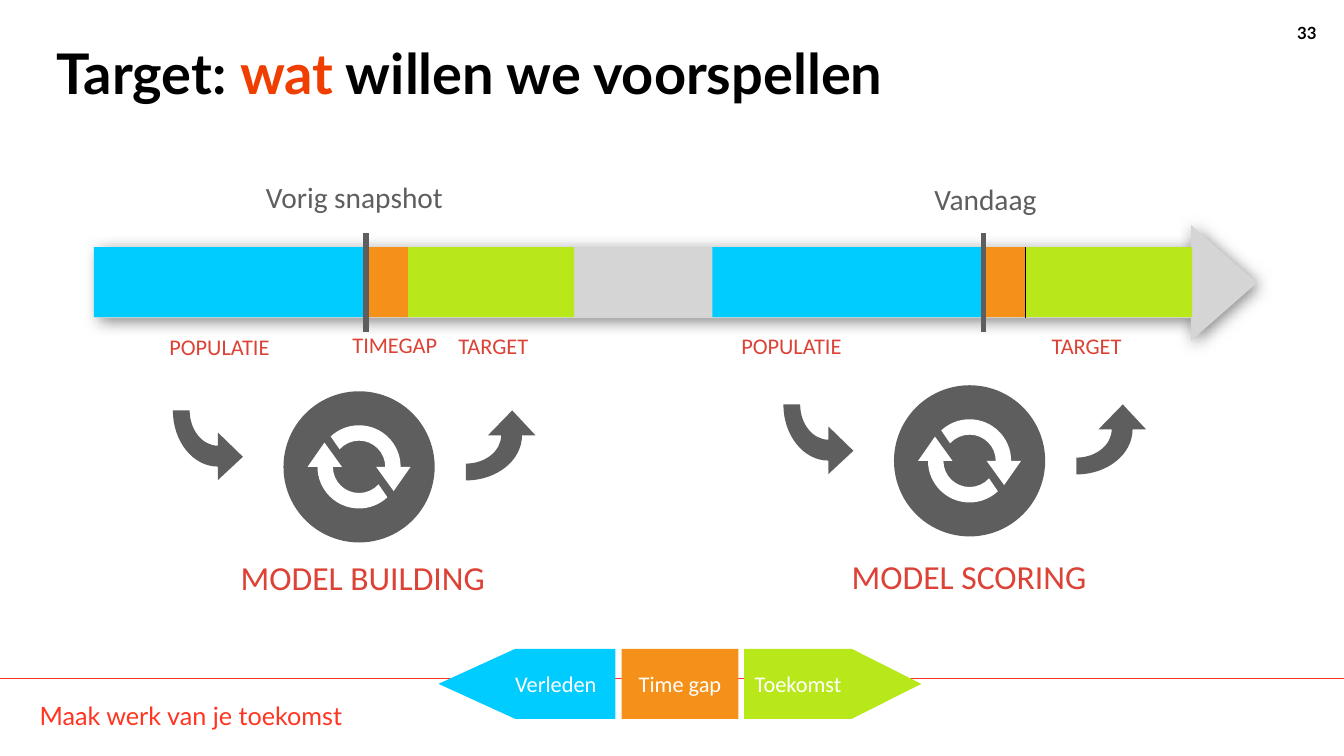
import math
from lxml import etree
from pptx import Presentation
from pptx import util as u
from pptx.dml.color import RGBColor
from pptx.enum import shapes, text
from pptx.oxml import ns

BLUE = RGBColor(0x00, 0xCC, 0xFF)
GREEN = RGBColor(0xB8, 0xE8, 0x1A)
ORANGE = RGBColor(0xF5, 0x91, 0x19)
GREY = RGBColor(0xD5, 0xD5, 0xD5)
DARK = RGBColor(0x5E, 0x5E, 0x5E)
RED = RGBColor(0xDC, 0x42, 0x35)
HOUSE_RED = RGBColor(0xFF, 0x35, 0x21)
ACCENT = RGBColor(0xEF, 0x3E, 0x00)
BLACK = RGBColor(0, 0, 0)
WHITE = RGBColor(255, 255, 255)

TITLE = [("Target: ", BLACK), ("wat", ACCENT), (" willen we voorspellen", BLACK)]
PERIODS = [(67, 195, BLUE), (288.8, 121.4, GREEN), (260.6, 30.8, ORANGE),
           (508.8, 195, BLUE), (730.2, 121.4, GREEN), (702, 30.8, ORANGE)]
BAND_TOP, BAND_HEIGHT = 176.5, 50
MARKERS = [(702.5, 236.9, 166.3, DARK, 4), (261.4, 236.9, 166.3, DARK, 4),
           (732.3, 226.8, 176.4, BLACK, 0.5)]
LABELS = [
    ("POPULATIE", 118.8, 235.6, 103, 24, 16, RED),
    ("TARGET", 325.2, 234.8, 121, 24, 16, RED),
    ("TIMEGAP", 249.5, 234.4, 121, 24, 16, RED),
    ("POPULATIE", 527.3, 234.8, 203.8, 24, 16, RED),
    ("TARGET", 749, 234.8, 99.4, 24, 16, RED),
    ("Vorig snapshot", 187.7, 125.8, 131.8, 29.5, 21, DARK),
    ("Vandaag", 665.3, 127.2, 77, 29.5, 21, DARK),
    ("MODEL BUILDING", 169.7, 395.7, 185.8, 33.1, 24, RED),
    ("MODEL SCORING", 606.2, 395.3, 172.8, 33.1, 24, RED),
]
LEGEND_TOP, LEGEND_HEIGHT = 463.5, 50
LEGEND = [("Verleden", 368, 71.6, BLUE, text.PP_ALIGN.LEFT),
          ("Time gap", 444, 83.5, ORANGE, text.PP_ALIGN.CENTER),
          ("Toekomst", 531.6, 77, GREEN, text.PP_ALIGN.CENTER)]
LEGEND_TIPS = [(368, 313.2, BLUE), (608.4, 658.1, GREEN)]
MODELS = [(256.5, 333.5), (692.6, 329.2)]
CIRCLE = 108

deck = Presentation()
deck.slide_width, deck.slide_height = u.Pt(960), u.Pt(540)
page = deck.slides.add_slide(deck.slide_layouts[5])


def apply(target, values):
    for name, value in values.items():
        setattr(target, name, value)


def place(x, y, width, height):
    return u.Pt(x), u.Pt(y), u.Pt(width), u.Pt(height)


def paint(shape, color):
    shape.shadow.inherit = False
    shape.fill.solid()
    shape.fill.fore_color.rgb = color
    shape.line.fill.background()
    return shape


def add_block(kind, x, y, width, height, color):
    return paint(page.shapes.add_shape(kind, *place(x, y, width, height)), color)


def add_span(para, words, font, size, color, bold=False):
    span = para.add_run()
    span.text = words
    apply(span.font, {"name": font, "size": u.Pt(size), "bold": bold})
    span.font.color.rgb = color


def set_frame(frame, side, top, anchor, wrap=True):
    apply(frame, {"margin_left": u.Pt(side), "margin_right": u.Pt(side),
                  "margin_top": u.Pt(top), "margin_bottom": u.Pt(top),
                  "vertical_anchor": anchor, "word_wrap": wrap,
                  "auto_size": text.MSO_AUTO_SIZE.NONE})


def add_text(words, x, y, width, height, font, size, color, side, top, anchor, wrap=True, bold=False):
    box = page.shapes.add_textbox(*place(x, y, width, height))
    set_frame(box.text_frame, side, top, anchor, wrap)
    para = box.text_frame.paragraphs[0]
    add_span(para, words, font, size, color, bold)
    return para


def add_line(x1, y1, x2, y2, color, width):
    line = page.shapes.add_connector(shapes.MSO_CONNECTOR.STRAIGHT,
                                     u.Pt(x1), u.Pt(y1), u.Pt(x2), u.Pt(y2))
    line.line.color.rgb = color
    line.line.width = u.Pt(width)
    etree.SubElement(line._element.spPr, ns.qn("a:effectLst"))


def add_outline(contours, color, x=0, y=0):
    moved = [[(u.Pt(x + px), u.Pt(y + py)) for px, py, _ in points] for points in contours]
    builder = page.shapes.build_freeform(*moved[0][0])
    for index, points in enumerate(moved):
        if index:
            builder.move_to(*points[0])
        builder.add_line_segments(points[1:], close=False)
        builder.add_line_segments([], close=True)
    shape = paint(builder.convert_to_shape(), color)
    bend([curved for points in contours for _, _, curved in points], shape)


def bend(flags, shape):
    steps = [step for step in shape._element.iter(ns.qn("a:moveTo"), ns.qn("a:lnTo"))]
    curved = [step for step, flag in zip(steps, flags) if flag]
    for first, second, third in zip(curved[::3], curved[1::3], curved[2::3]):
        curve = etree.Element(ns.qn("a:cubicBezTo"))
        first.addprevious(curve)
        for step in (first, second, third):
            curve.append(step[0])
            step.getparent().remove(step)


def corners(*points):
    return [(x, y, False) for x, y in points]


def arc(radius_x, radius_y, *degrees):
    angles = [math.radians(degree) for degree in degrees]
    points = corners((radius_x * math.cos(angles[0]), radius_y * math.sin(angles[0])))
    for start, end in zip(angles, angles[1:]):
        reach = 4 / 3 * math.tan((end - start) / 4)
        for angle, pull in ((start, reach), (end, -reach), (end, 0)):
            points.append((radius_x * (math.cos(angle) - pull * math.sin(angle)),
                           radius_y * (math.sin(angle) + pull * math.cos(angle)), True))
    return points


def add_model(x, y):
    add_block(shapes.MSO_SHAPE.OVAL, x - CIRCLE / 2, y - CIRCLE / 2, CIRCLE, CIRCLE, DARK)
    arrow_in = (arc(32.2, 40.1, 180, 90) + corners((0, 49.7), (17.8, 33.1), (0, 15.8))
                + arc(20.2, 25.2, 90, 180))
    arrow_out = [(py, -px, curved) for px, py, curved in arrow_in]
    add_outline([arrow_in], DARK, x - 100.8, y - 40.3)
    add_outline([arrow_out], DARK, x + 76.3, y - 22.5)
    half_cycle = (arc(29.7, 29.7, 0, -90, -133) + arc(18.7, 18.7, -138, -90, 0)
                  + corners((12.2, 0), (24.7, 17.3), (36.8, 0)))
    other_half = [(-px, -py, curved) for px, py, curved in half_cycle]
    add_outline([half_cycle, other_half], WHITE, x, y)


def build():
    add_text("Maak werk van je toekomst", 21.2, 496.8, 612, 28.8, "Lato", 18, HOUSE_RED,
             7.2, 3.6, text.MSO_ANCHOR.TOP)
    add_line(0, 484.6, 960, 484.6, HOUSE_RED, 0.5)
    number = add_text("33", 912.2, 13, 35.3, 21.6, "Lato", 12, BLACK,
                      7.2, 3.6, text.MSO_ANCHOR.TOP, bold=True)
    number.alignment = text.PP_ALIGN.RIGHT

    timeline = add_block(shapes.MSO_SHAPE.RIGHT_ARROW, 70.6, 160.6, 827.3, 82.8, GREY)
    timeline.adjustments[0], timeline.adjustments[1] = 0.61, 0.57
    effects = timeline._element.spPr.find(ns.qn("a:effectLst"))
    shadow = etree.SubElement(effects, ns.qn("a:outerShdw"), blurRad=str(u.Pt(11)),
                              dist=str(u.Pt(2)), dir="5400000", rotWithShape="0")
    shade = etree.SubElement(shadow, ns.qn("a:srgbClr"), val=str(BLACK))
    etree.SubElement(shade, ns.qn("a:alpha"), val="50000")

    for x, width, color in PERIODS:
        add_block(shapes.MSO_SHAPE.RECTANGLE, x, BAND_TOP, width, BAND_HEIGHT, color)
    for x, bottom, top, color, width in MARKERS:
        add_line(x, bottom, x, top, color, width)

    for words, x, width, color, alignment in LEGEND:
        block = add_block(shapes.MSO_SHAPE.RECTANGLE, x, LEGEND_TOP, width, LEGEND_HEIGHT, color)
        set_frame(block.text_frame, 0, 0, text.MSO_ANCHOR.MIDDLE)
        para = block.text_frame.paragraphs[0]
        para.alignment = alignment
        add_span(para, words, "Calibri", 16, WHITE)
    for base, tip, color in LEGEND_TIPS:
        add_outline([corners((tip, LEGEND_TOP + LEGEND_HEIGHT / 2), (base, LEGEND_TOP),
                             (base, LEGEND_TOP + LEGEND_HEIGHT))], color)

    title = page.shapes.title
    apply(title, dict(zip(("left", "top", "width", "height"), place(33.1, 29.5, 884.2, 104.4))))
    set_frame(title.text_frame, 7.2, 3.6, text.MSO_ANCHOR.TOP)
    heading = title.text_frame.paragraphs[0]
    apply(heading, {"alignment": text.PP_ALIGN.LEFT, "line_spacing": 0.9})
    for words, color in TITLE:
        add_span(heading, words, "Lato", 40, color, bold=True)

    for center in MODELS:
        add_model(*center)
    for words, x, y, width, height, size, color in LABELS:
        add_text(words, x, y, width, height, "Calibri", size, color,
                 2.2, 2.2, text.MSO_ANCHOR.MIDDLE, wrap=size == 16)


build()
deck.save("out.pptx")
